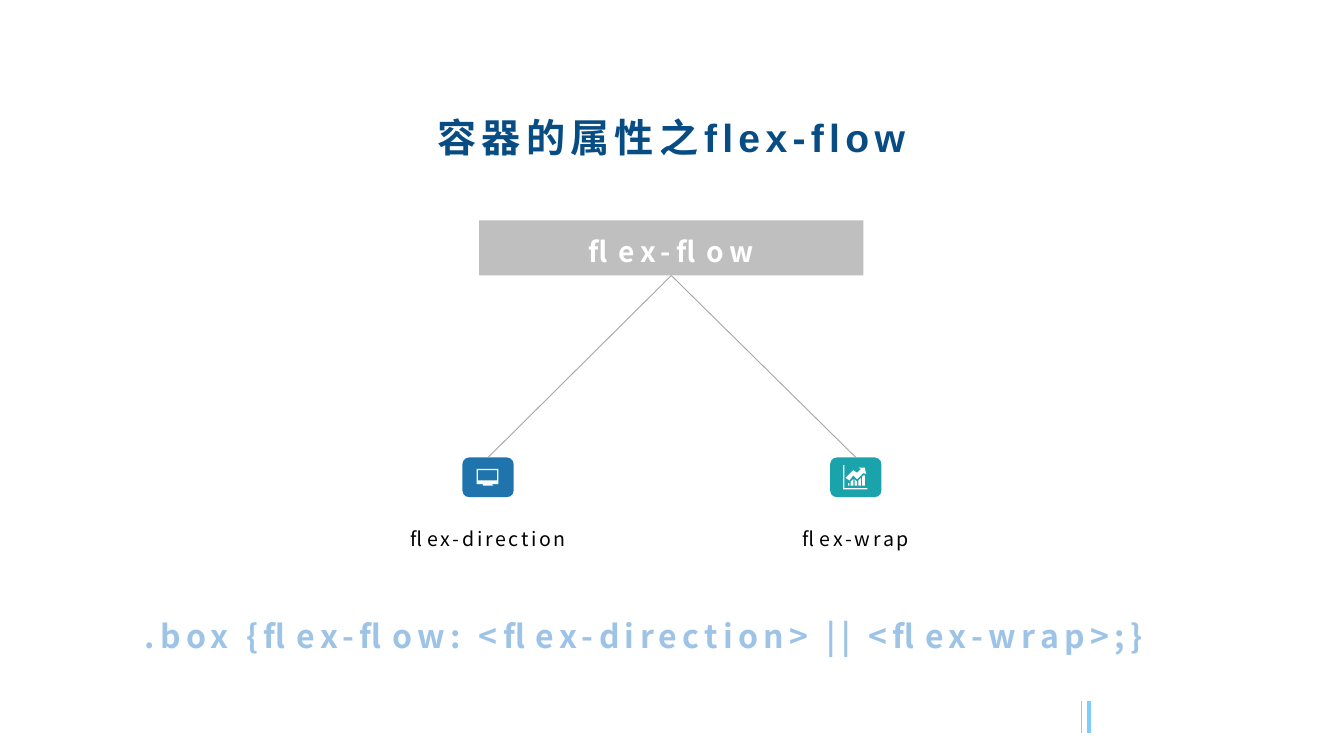
from pptx import Presentation
from pptx.dml.color import RGBColor
from pptx.enum.shapes import MSO_CONNECTOR as Connector, MSO_SHAPE as Shape
from pptx.enum.text import MSO_ANCHOR as Anchor, MSO_AUTO_SIZE as AutoSize, PP_ALIGN as Align
from pptx.oxml.ns import qn
from pptx.util import Pt
from lxml.etree import SubElement

PX = 9144  # EMU per px, 100 px to the inch
SANS, LATIN = "Noto Sans CJK SC", "Arial"

WHITE = RGBColor(0xFF, 0xFF, 0xFF)
BLACK = RGBColor(0x00, 0x00, 0x00)
NAVY = RGBColor(0x07, 0x4C, 0x83)
BLUE = RGBColor(0x1F, 0x74, 0xAD)
TEAL = RGBColor(0x1A, 0xA3, 0xAA)
PALE_BLUE = RGBColor(0x9D, 0xC3, 0xE6)
SKY = RGBColor(0x7D, 0xCD, 0xFF)
GOLD = RGBColor(0xFF, 0xC0, 0x00)
SILVER = RGBColor(0xBF, 0xBF, 0xBF)
GREY = RGBColor(0xA6, 0xA6, 0xA6)

# Icon outlines, in px from the corner of their badge
SCREEN_ICON = [
    [(16, 21), (23, 21), (24, 22), (16, 22)],
    [(12, 10), (12, 18), (27, 18), (27, 10)],
    [(11, 9), (28, 9), (28, 21), (11, 21)],
]
CHART_ICON = [
    [(14, 20), (15, 20), (15, 22), (14, 22)],
    [(16, 19), (18, 17), (18, 22), (16, 22)],
    [(19, 17), (21, 19), (21, 22), (19, 22)],
    [(22, 18), (24, 16), (24, 22), (22, 22)],
    [(25, 15), (26, 14), (27, 14), (27, 22), (25, 22)],
    [(22, 8), (27, 8), (28, 13), (26, 12), (21, 17), (18, 14), (15, 18),
     (12, 16), (18, 10), (21, 12), (24, 9)],
    [(10, 6), (11, 6), (11, 24), (29, 24), (29, 25), (10, 25)],
]


def scaled(*lengths):
    return [length * PX for length in lengths]


def write(shape, text, size, color, font=SANS, bold=False, spacing=3.0,
          align=Align.CENTER, line_spacing=1.2):
    paragraph = shape.text_frame.paragraphs[0]
    paragraph.alignment = align
    paragraph.line_spacing = line_spacing
    run = paragraph.add_run()
    run.text = text
    run.font.name = font
    run.font.size = Pt(size)
    run.font.bold = bold
    run.font.color.rgb = color
    properties = run.font._element
    properties.set("spc", str(int(spacing * 100)))
    SubElement(properties, qn("a:ea")).set("typeface", SANS)


def add_text(slide, box, text, size, color, anchor=Anchor.TOP, **style):
    text_box = slide.shapes.add_textbox(*scaled(*box))
    text_box.text_frame.word_wrap = True
    text_box.text_frame.vertical_anchor = anchor
    write(text_box, text, size, color, **style)
    return text_box


def paint(shape, color):
    shape.shadow.inherit = False
    shape.fill.solid()
    shape.fill.fore_color.rgb = color
    shape.line.fill.background()


def add_block(slide, kind, box, color):
    block = slide.shapes.add_shape(kind, *scaled(*box))
    paint(block, color)
    return block


def add_line(slide, ends, color, width):
    line = slide.shapes.add_connector(Connector.STRAIGHT, *scaled(*ends))
    line.line.color.rgb = color
    line.line.width = Pt(width)
    SubElement(line._element.spPr, qn("a:effectLst"))
    return line


def add_icon(slide, left, top, outlines):
    builder = slide.shapes.build_freeform(*outlines[0][0], scale=PX)
    for outline in outlines:
        if outline is not outlines[0]:
            builder.move_to(*outline[0])
        builder.add_line_segments(outline[1:], close=True)
    paint(builder.convert_to_shape(*scaled(left, top)), WHITE)


def add_footer_marks(slide, box):
    left, top, width, height = box
    for x, color, weight in ((left + width, SKY, 2.25), (left, GOLD, 0.5)):
        add_line(slide, (x, top, x, top + height), color, weight)


def add_branch(slide, box, root, name, color, outlines):
    left, top, width, height = box
    badge_width, badge_height = 40, 31
    badge_left = left + (width - badge_width) // 2
    badge = add_block(slide, Shape.ROUNDED_RECTANGLE,
                      (badge_left, top, badge_width, badge_height), color)
    add_icon(slide, badge_left, top, outlines)
    label_offset = 46
    add_text(slide, (left, top + label_offset, width, height - label_offset),
             name, 11, BLACK, spacing=1.5)
    line = add_line(slide, (0, 0, 0, 0), GREY, 0.5)
    line.begin_connect(root, 2)
    line.end_connect(badge, 0)


def add_tree(slide, box):
    left, top, width, height = box
    # Root bar, centred above its branches
    root_width, root_height = 300, 43
    root = add_block(slide, Shape.RECTANGLE,
                     (left + (width - root_width) // 2, top, root_width, root_height), SILVER)
    root.text_frame.vertical_anchor = Anchor.MIDDLE
    write(root, "flex-flow", 15.8, WHITE, bold=True)

    # One branch at each edge
    branch_width, branch_offset = 188, 185
    branches = (
        (left, "flex-direction", BLUE, SCREEN_ICON),
        (left + width - branch_width, "flex-wrap", TEAL, CHART_ICON),
    )
    for branch_left, *content in branches:
        branch_box = (branch_left, top + branch_offset, branch_width, height - branch_offset)
        add_branch(slide, branch_box, root, *content)


def add_code(slide, box):
    code = add_text(slide, box, ".box {flex-flow: <flex-direction> || <flex-wrap>;}",
                    18, PALE_BLUE, bold=True, align=Align.LEFT, line_spacing=1.0)
    code.text_frame.word_wrap = False
    code.text_frame.auto_size = AutoSize.SHAPE_TO_FIT_TEXT


def main():
    presentation = Presentation()
    presentation.slide_width, presentation.slide_height = scaled(1049, 590)
    slide = presentation.slides.add_slide(presentation.slide_layouts[6])

    add_footer_marks(slide, (844, 547, 6, 25))
    add_tree(slide, (287, 172, 475, 332))
    add_text(slide, (198, 75, 652, 56), "容器的属性之flex-flow", 22, NAVY,
             anchor=Anchor.MIDDLE, font=LATIN, bold=True)
    add_code(slide, (103, 476, 844, 40))

    presentation.save("out.pptx")


if __name__ == "__main__":
    main()
